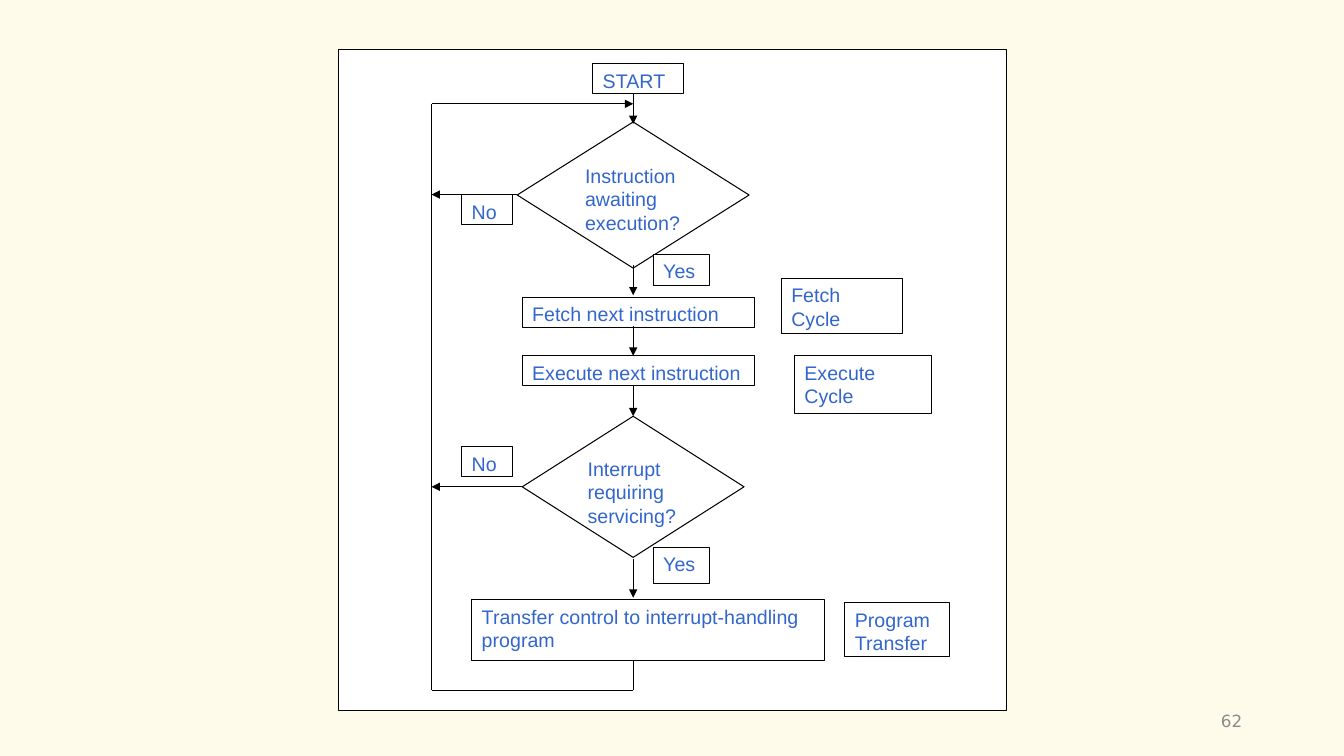
import pptx
import pptx.util
import pptx.dml.color
import pptx.enum.shapes
import pptx.enum.text
import pptx.oxml.ns
from lxml import etree

PX = 9144  # 100 px to the inch
COLORS = {"page": "FFFBEB", "paper": "FFFFFF", "line": "000000",
          "text": "3366CC", "number": "8C8C8C"}
MID_X, LOOP_X = 628, 428  # main flow and return loop


class Flowchart:
    def __init__(self, prs):
        self.slide = prs.slides.add_slide(prs.slide_layouts[6])
        fill = self.slide.background.fill
        fill.solid()
        fill.fore_color.rgb = self.color("page")

    def color(self, name):
        return pptx.dml.color.RGBColor.from_string(COLORS[name])

    def outline(self, sp):
        sp.line.color.rgb = self.color("line")
        sp.line.width = pptx.util.Pt(0.75)

    def set_text(self, sp, text, size, font, color, align, anchor):
        tf = sp.text_frame
        tf.word_wrap = True
        tf.vertical_anchor = anchor
        p = tf.paragraphs[0]
        p.text = text
        p.alignment = align
        p.font.size = pptx.util.Pt(size)
        p.font.name = font
        p.font.color.rgb = self.color(color)

    def box(self, x, y, w, h, text="", kind="RECTANGLE"):
        shape_type = pptx.enum.shapes.MSO_SHAPE[kind]
        sp = self.slide.shapes.add_shape(shape_type, x * PX, y * PX, w * PX, h * PX)
        sp.shadow.inherit = False
        sp.fill.solid()
        sp.fill.fore_color.rgb = self.color("paper")
        self.outline(sp)
        if text:
            self.set_text(sp, text, 14, "Arial", "text",
                          pptx.enum.text.PP_ALIGN.LEFT, pptx.enum.text.MSO_ANCHOR.TOP)

    def decision(self, x, y, w, h, text):
        self.box(x, y, w, h, text, "DIAMOND")

    def line(self, x1, y1, x2, y2, arrow=False):
        cx = self.slide.shapes.add_connector(
            pptx.enum.shapes.MSO_CONNECTOR.STRAIGHT, x1 * PX, y1 * PX, x2 * PX, y2 * PX)
        self.outline(cx)
        qn = pptx.oxml.ns.qn
        sp_pr = cx.element.spPr
        if arrow:
            etree.SubElement(sp_pr.find(qn("a:ln")), qn("a:tailEnd"), type="triangle")
        etree.SubElement(sp_pr, qn("a:effectLst"))

    def page_number(self, x, y, w, h, text):
        sp = self.slide.shapes.add_textbox(x * PX, y * PX, w * PX, h * PX)
        self.set_text(sp, text, 12, "DejaVu Sans", "number",
                      pptx.enum.text.PP_ALIGN.RIGHT, pptx.enum.text.MSO_ANCHOR.MIDDLE)


def main():
    prs = pptx.Presentation()
    prs.slide_width, prs.slide_height = 1333 * PX, 750 * PX
    chart = Flowchart(prs)

    chart.page_number(942, 695, 300, 40, "62")
    chart.box(336, 49, 662, 656)

    chart.box(588, 63, 90, 30, "START")
    chart.decision(513, 121, 230, 145, "Instruction awaiting execution?")
    chart.box(518, 295, 230, 30, "Fetch next instruction")
    chart.box(518, 353, 230, 30, "Execute next instruction")
    chart.decision(518, 413, 220, 140, "Interrupt requiring servicing?")
    chart.box(468, 595, 350, 60, "Transfer control to interrupt-handling program")

    for top, bottom in [(93, 123), (263, 293), (323, 353), (383, 413), (555, 593)]:
        chart.line(MID_X, top, MID_X, bottom, arrow=True)

    chart.line(MID_X, 655, MID_X, 685)
    chart.line(MID_X, 685, LOOP_X, 685)
    chart.line(LOOP_X, 685, LOOP_X, 103)
    chart.line(LOOP_X, 103, MID_X, 103, arrow=True)
    for x, y in [(513, 193), (518, 483)]:
        chart.line(x, y, LOOP_X, y, arrow=True)

    for y in (193, 443):
        chart.box(458, y, 50, 30, "No")
    for y, h in [(252, 31), (543, 36)]:
        chart.box(648, y, 56, h, "Yes")

    chart.box(775, 276, 120, 55, "Fetch Cycle")
    chart.box(788, 353, 136, 57, "Execute Cycle")
    chart.box(838, 598, 104, 53, "Program Transfer")

    prs.save("out.pptx")


if __name__ == "__main__":
    main()
